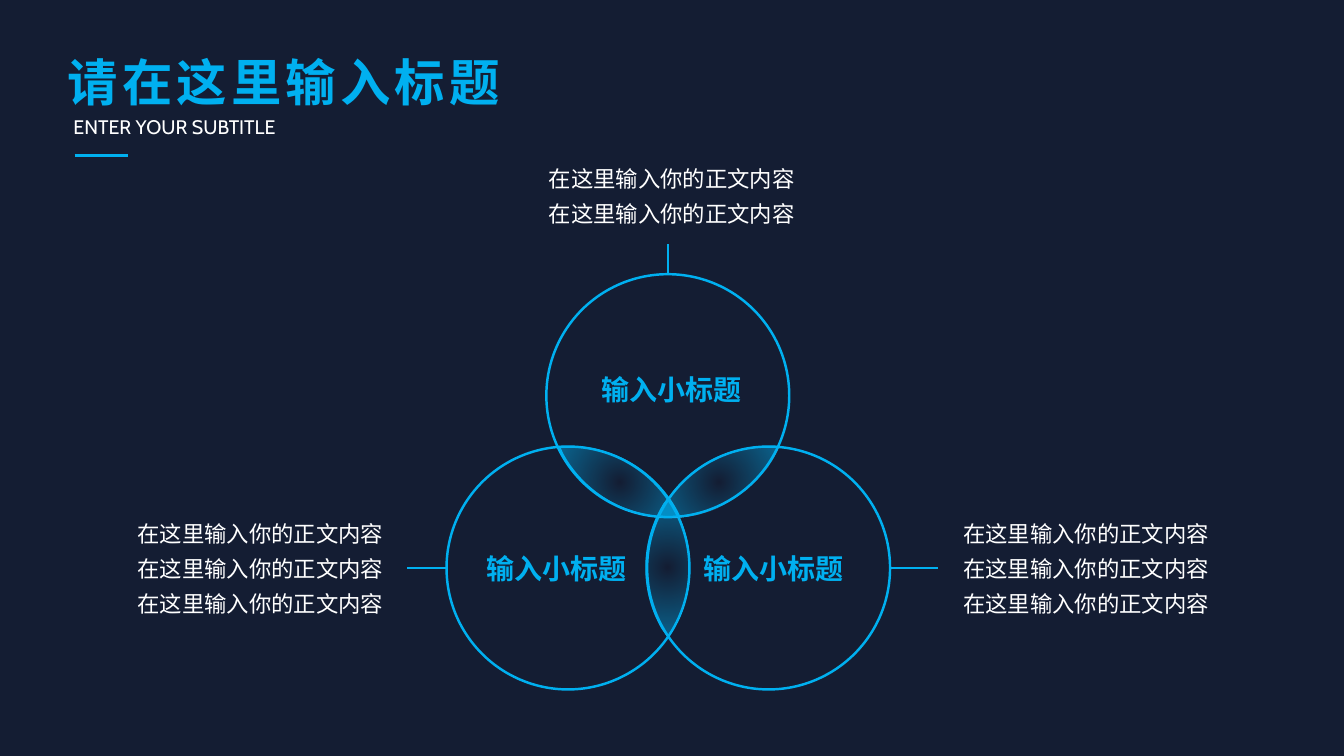
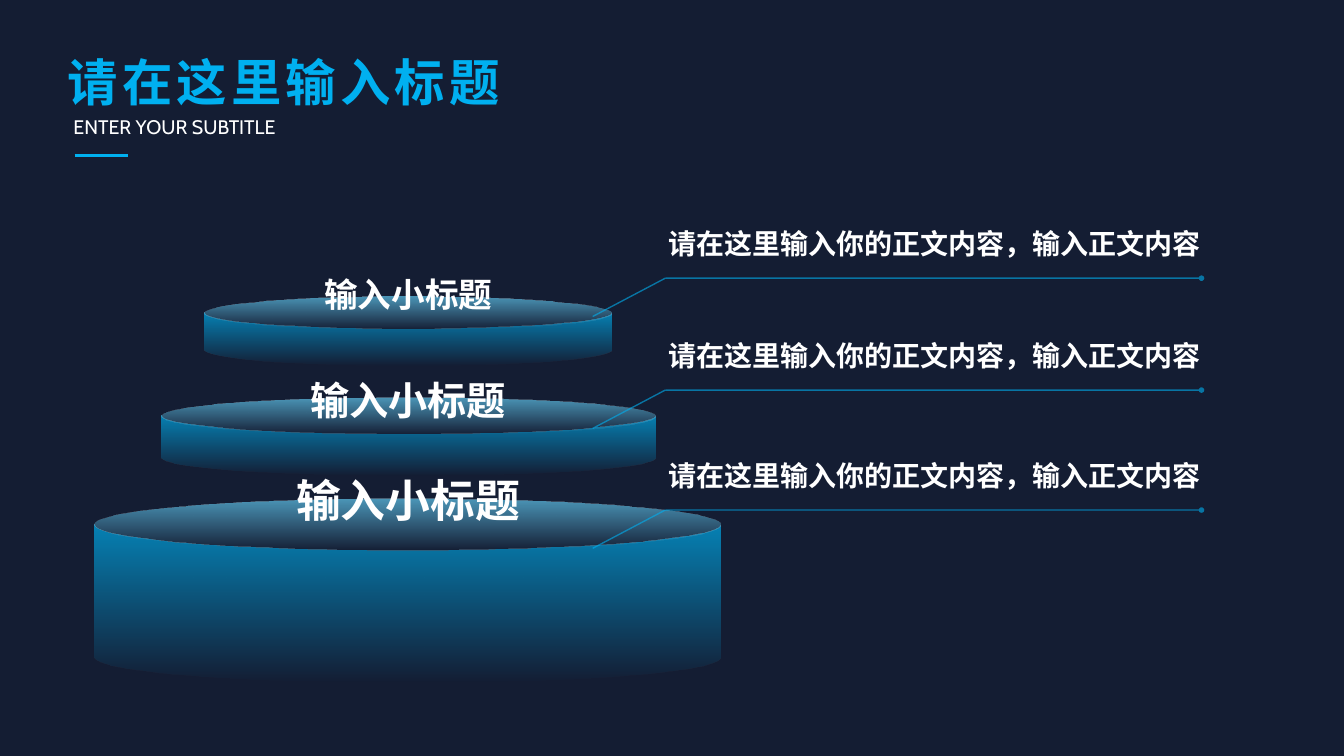
from dataclasses import dataclass
from typing import Any, NamedTuple, Optional

import pptx
import pptx.dml.color
import pptx.enum.shapes
import pptx.enum.text
import pptx.oxml
import pptx.oxml.ns
import pptx.util
from pptx.util import Inches

SHAPES = pptx.enum.shapes.MSO_SHAPE
ALIGN = pptx.enum.text.PP_ALIGN


@dataclass(frozen=True)
class Theme:
    background: str = "141D33"
    accent: str = "00B0F0"
    white: str = "FFFFFF"
    heading_font: str = "Noto Sans CJK JP"
    body_font: str = "Cabin"
    title_size: int = 36
    heading_size: int = 20
    body_size: int = 16
    subtitle_size: int = 14


class Box(NamedTuple):
    left: float
    top: float
    width: float
    height: float


class Point(NamedTuple):
    x: float
    y: float


class Circle(NamedTuple):
    left: float
    top: float
    label: Box


class Overlap(NamedTuple):
    left: float
    top: float
    mirrored: bool
    rotation: float


class Callout(NamedTuple):
    start: Point
    end: Point
    text_box: Box
    line_count: int


class Tier(NamedTuple):
    can: Box
    rim: float
    label_top: float
    label_size: int


THEME = Theme()
DIAMETER = 2.41
SUBHEADING = "输入小标题"
BODY_LINE = "在这里输入你的正文内容"
NOTE = "请在这里输入你的正文内容，输入正文内容"

CIRCLES = [
    Circle(5.42, 2.72, Box(5.68, 3.65, 1.97, 0.44)),
    Circle(4.43, 4.43, Box(4.54, 5.42, 1.97, 0.44)),
    Circle(6.42, 4.43, Box(6.69, 5.42, 1.97, 0.44)),
]
MIDDLE_X = CIRCLES[0].left + DIAMETER / 2
MIDDLE_Y = CIRCLES[1].top + DIAMETER / 2

OVERLAP_WIDTH = 1.19
OVERLAP_CORNERS = [
    Point(1.1, 0),
    Point(1.19, 0),
    Point(1.16, 0.07),
    Point(0.1, 0.7),
    Point(0, 0.69),
    Point(0.03, 0.63),
    Point(1.1, 0),
]
# Corners reached by a curve, with the two control points of that curve
OVERLAP_CURVES = {
    3: (Point(0.96, 0.44), Point(0.56, 0.7)),
    6: (Point(0.24, 0.25), Point(0.64, 0)),
}
OVERLAPS = [
    Overlap(6.53, 4.43, False, 0),
    Overlap(5.55, 4.43, True, 0),
    Overlap(6.03, 5.28, True, 60.1),
]
CALLOUTS = [
    Callout(Point(MIDDLE_X, 2.72), Point(MIDDLE_X, 2.42), Box(5.2, 1.51, 2.93, 0.77), 2),
    Callout(Point(8.83, MIDDLE_Y), Point(9.31, MIDDLE_Y), Box(9.31, 5.03, 2.93, 1.12), 3),
    Callout(Point(4.43, MIDDLE_Y), Point(4.04, MIDDLE_Y), Box(1.12, 5.03, 2.93, 1.12), 3),
]
TIERS = [
    Tier(Box(0.94, 4.95, 6.21, 1.82), 0.282, 4.64, 32),
    Tier(Box(1.6, 3.94, 4.9, 0.78), 0.472, 3.68, 28),
    Tier(Box(2.03, 2.94, 4.04, 0.69), 0.472, 2.67, 24),
]
NOTE_LINES = [2.76, 3.87, 5.06]


def color(value: str) -> Any:
    return pptx.dml.color.RGBColor.from_string(value)


def element(xml: str) -> Any:
    namespace = pptx.oxml.ns.nsdecls("a")
    return pptx.oxml.parse_xml(xml.replace(" ", f" {namespace} ", 1))


def lengths(box: Box) -> list[int]:
    return [Inches(value) for value in box]


def write_text(
    text_frame: Any,
    text: str,
    *,
    size: int,
    color_value: str = THEME.white,
    font_name: str = THEME.heading_font,
    bold: bool = False,
    align: Any = ALIGN.CENTER,
    line_spacing: Optional[float] = None,
    tracking: int = 0,
    anchor: Any = pptx.enum.text.MSO_ANCHOR.TOP,
) -> None:
    """Fill a text frame, one paragraph a line; tracking is in points."""
    text_frame.word_wrap = True
    text_frame.auto_size = pptx.enum.text.MSO_AUTO_SIZE.SHAPE_TO_FIT_TEXT
    text_frame.vertical_anchor = anchor
    text_frame.text = text
    for paragraph in text_frame.paragraphs:
        paragraph.alignment = align
        if line_spacing:
            paragraph.line_spacing = line_spacing
        for run in paragraph.runs:
            run.font.size = pptx.util.Pt(size)
            run.font.bold = bold
            run.font.name = font_name
            run.font.color.rgb = color(color_value)
            properties = run._r.get_or_add_rPr()
            properties.append(element(f'<a:ea typeface="{THEME.heading_font}"/>'))
            if tracking:
                properties.set("spc", str(tracking * 100))


def add_text(slide: Any, text: str, box: Box, **text_format: Any) -> None:
    write_text(slide.shapes.add_textbox(*lengths(box)).text_frame, text, **text_format)


def add_line(
    shapes: Any, start: Point, end: Point, width: float, opacity: int = 100, dot: bool = False
) -> None:
    connector = shapes.add_connector(
        pptx.enum.shapes.MSO_CONNECTOR.STRAIGHT,
        *(Inches(value) for value in (*start, *end)),
    )
    outline(connector, width)
    properties = connector.element.spPr
    if opacity < 100:
        set_opacity(properties, opacity)
    if dot:
        line = properties.find(pptx.oxml.ns.qn("a:ln"))
        line.append(element('<a:tailEnd type="oval" w="sm" len="sm"/>'))
    properties.append(element("<a:effectLst />"))


def set_opacity(properties: Any, opacity: int) -> None:
    color_element = properties.find(".//" + pptx.oxml.ns.qn("a:srgbClr"))
    color_element.append(element(f'<a:alpha val="{opacity * 1000}"/>'))


def fill_fading(shape: Any, opacity: int, direction: str) -> None:
    """Fill with accent colour that goes from clear to the given opacity."""
    stops = "".join(
        f'<a:gs pos="{position}"><a:srgbClr val="{THEME.accent}">'
        f'<a:alpha val="{alpha * 1000}"/></a:srgbClr></a:gs>'
        for position, alpha in ((0, 0), (100000, opacity))
    )
    gradient = element(
        f'<a:gradFill rotWithShape="1"><a:gsLst>{stops}</a:gsLst>{direction}</a:gradFill>'
    )
    shape.fill.background()
    properties = shape.element.spPr
    properties.replace(properties.find(pptx.oxml.ns.qn("a:noFill")), gradient)


def outline(shape: Any, width: float) -> None:
    shape.line.color.rgb = color(THEME.accent)
    shape.line.width = pptx.util.Pt(width)


def add_circle(slide: Any, circle: Circle) -> None:
    box = Box(circle.left, circle.top, DIAMETER, DIAMETER)
    shape = slide.shapes.add_shape(SHAPES.OVAL, *lengths(box))
    shape.shadow.inherit = False
    shape.fill.background()
    outline(shape, 1.75)


def add_overlap(slide: Any, overlap: Overlap) -> None:
    def place(point: Point) -> tuple[int, int]:
        x = OVERLAP_WIDTH - point.x if overlap.mirrored else point.x
        return Inches(x), Inches(point.y)

    corners = [place(corner) for corner in OVERLAP_CORNERS]
    builder = slide.shapes.build_freeform(*corners[0])
    builder.add_line_segments(corners[1:], close=True)
    shape = builder.convert_to_shape(Inches(overlap.left), Inches(overlap.top))
    outline_path = shape.element.find(".//" + pptx.oxml.ns.qn("a:path"))
    for index, controls in OVERLAP_CURVES.items():
        curve_points = [*(place(control) for control in controls), corners[index]]
        points = "".join(f'<a:pt x="{x}" y="{y}"/>' for x, y in curve_points)
        curve = element(f"<a:cubicBezTo >{points}</a:cubicBezTo>")
        outline_path.replace(outline_path[index], curve)
    shape.rotation = overlap.rotation
    shape.shadow.inherit = False
    center = '<a:fillToRect l="50000" t="50000" r="50000" b="50000"/>'
    fill_fading(shape, 50, f'<a:path path="circle">{center}</a:path>')
    outline(shape, 1)


def add_tier(slide: Any, tier: Tier) -> None:
    shape = slide.shapes.add_shape(SHAPES.CAN, *lengths(tier.can))
    shape.shadow.inherit = False
    shape.adjustments[0] = tier.rim
    fill_fading(shape, 70, '<a:lin ang="16200000" scaled="0"/>')
    shape.line.fill.background()
    label_box = Box(2.59, tier.label_top, 2.92, tier.label_size / 50)
    add_text(slide, SUBHEADING, label_box, size=tier.label_size, bold=True)


def add_note(slide: Any, line_top: float) -> None:
    note_box = Box(6.53, line_top - 0.56, 6.13, 0.44)
    add_text(slide, NOTE, note_box, size=THEME.heading_size, bold=True, align=ALIGN.LEFT)
    bend = Point(6.6, line_top)
    group = slide.shapes.add_group_shape()
    add_line(group.shapes, Point(5.88, line_top + 0.38), bend, 1, opacity=60)
    add_line(group.shapes, bend, Point(11.92, line_top), 1, opacity=60, dot=True)


def add_titled_slide(presentation: Any) -> Any:
    slide = presentation.slides.add_slide(presentation.slide_layouts[5])
    title = slide.shapes.title
    title.left, title.top, title.width, title.height = lengths(Box(0.57, 0.52, 11.5, 0.65))
    write_text(
        title.text_frame,
        "请在这里输入标题",
        size=THEME.title_size,
        color_value=THEME.accent,
        bold=True,
        align=ALIGN.LEFT,
        line_spacing=0.9,
        tracking=3,
        anchor=pptx.enum.text.MSO_ANCHOR.MIDDLE,
    )
    add_text(
        slide,
        "ENTER YOUR SUBTITLE",
        Box(0.63, 1.09, 2.51, 0.34),
        size=THEME.subtitle_size,
        font_name=THEME.body_font,
        align=ALIGN.JUSTIFY,
    )
    add_line(slide.shapes, Point(0.74, 1.54), Point(1.27, 1.54), 2)
    return slide


def add_circles_slide(presentation: Any) -> Any:
    slide = add_titled_slide(presentation)
    for circle in CIRCLES:
        add_circle(slide, circle)
    for overlap in OVERLAPS:
        add_overlap(slide, overlap)
    label_format = dict(size=THEME.heading_size, color_value=THEME.accent, bold=True)
    for circle in CIRCLES:
        add_text(slide, SUBHEADING, circle.label, **label_format)
    body_format = dict(size=THEME.body_size, font_name=THEME.body_font, line_spacing=1.3)
    for callout in CALLOUTS:
        add_line(slide.shapes, callout.start, callout.end, 1.5)
        body = "\n".join([BODY_LINE] * callout.line_count)
        add_text(slide, body, callout.text_box, **body_format)
    return slide


def add_tiers_slide(presentation: Any) -> None:
    slide = add_titled_slide(presentation)
    for tier in TIERS:
        add_tier(slide, tier)
    for line_top in NOTE_LINES:
        add_note(slide, line_top)


def format_master(presentation: Any, slide: Any) -> None:
    """Colour the master and move a page-wide veil, made on the slide, behind its parts."""
    master = presentation.slide_master
    master.background.fill.solid()
    master.background.fill.fore_color.rgb = color(THEME.background)
    size = presentation.slide_width, presentation.slide_height
    veil = slide.shapes.add_shape(SHAPES.RECTANGLE, 0, 0, *size)
    veil.shadow.inherit = False
    veil.fill.solid()
    veil.fill.fore_color.rgb = color(THEME.background)
    set_opacity(veil.element.spPr, 90)
    veil.line.fill.background()
    veil.element.nvSpPr.cNvPr.set("id", "100")
    master.shapes.element.insert(2, veil.element)


def main() -> None:
    presentation = pptx.Presentation()
    presentation.slide_width = Inches(40 / 3)
    presentation.slide_height = Inches(7.5)
    format_master(presentation, add_circles_slide(presentation))
    add_tiers_slide(presentation)
    presentation.save("out.pptx")


if __name__ == "__main__":
    main()
